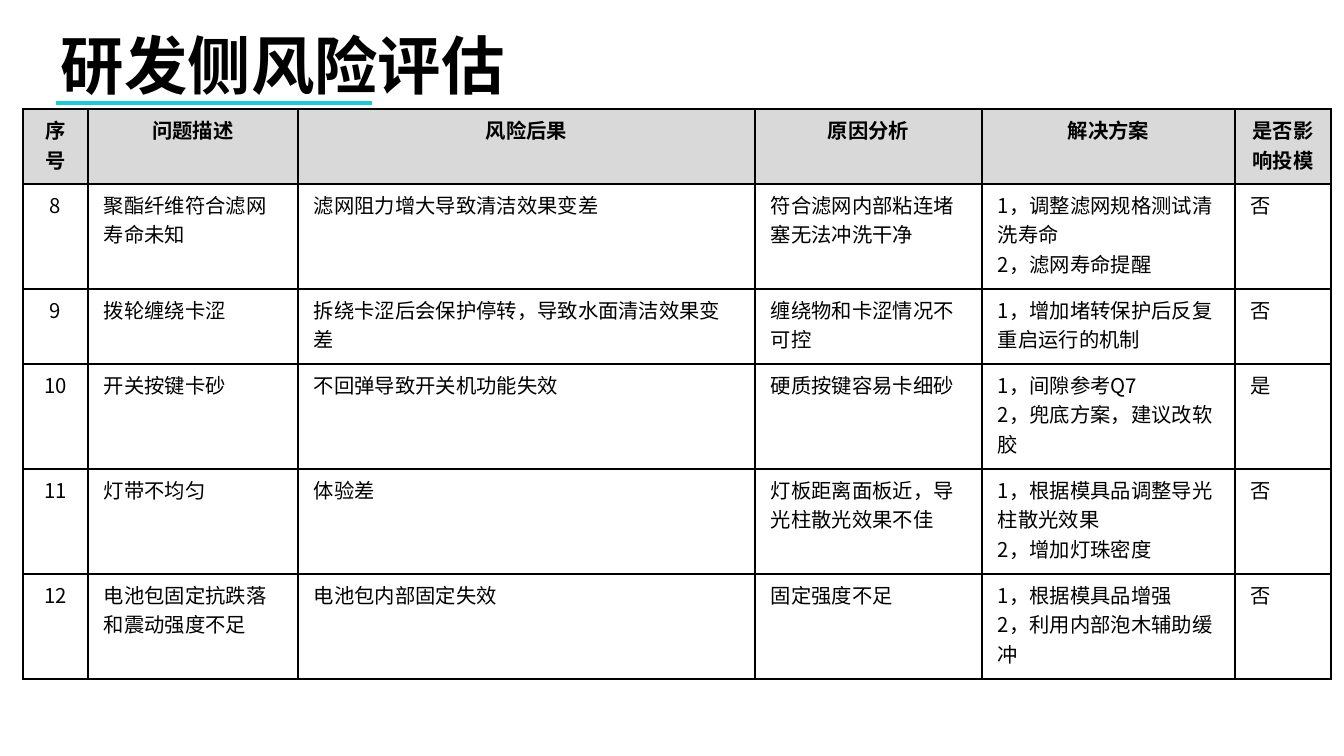
from dataclasses import dataclass

from lxml.etree import SubElement
from pptx import Presentation
from pptx.dml.color import RGBColor
from pptx.enum.lang import MSO_LANGUAGE_ID
from pptx.enum.shapes import MSO_SHAPE
from pptx.enum.text import MSO_ANCHOR, PP_ALIGN
from pptx.oxml.ns import qn
from pptx.util import Inches, Pt


@dataclass(frozen=True)
class Theme:
    font: str = "Noto Sans CJK SC"
    ink: str = "000000"
    header: str = "D9D9D9"
    body: str = "FFFFFF"
    accent_start: str = "1ECAD3"
    accent_end: str = "20C8D3"
    title_size: float = 37.4
    table_size: float = 12
    border: float = 0.96


theme = Theme()


def px(length):
    return round(length * Inches(1) / 122)


def add_run(paragraph, text, size, bold):
    run = paragraph.add_run()
    run.text = text
    run.font.name = theme.font
    run.font.size = Pt(size)
    run.font.bold = bold
    run.font.color.rgb = RGBColor.from_string(theme.ink)
    run.font.language_id = MSO_LANGUAGE_ID.SIMPLIFIED_CHINESE
    SubElement(run.font._element, qn("a:ea"), typeface=theme.font)


presentation = Presentation()
presentation.slide_width = px(1344)
presentation.slide_height = px(756)
slide = presentation.slides.add_slide(presentation.slide_layouts[6])

title = slide.shapes.add_textbox(px(45), px(31), px(1103), px(80))
title_frame = title.text_frame
title_frame.word_wrap = True
title_frame.vertical_anchor = MSO_ANCHOR.BOTTOM
title_frame.margin_left = title_frame.margin_right = px(16)
title_frame.margin_top = title_frame.margin_bottom = px(9)
add_run(title_frame.paragraphs[0], "研发侧风险评估", theme.title_size, True)

underline = slide.shapes.add_shape(MSO_SHAPE.RECTANGLE, px(56), px(101), px(316), px(4))
underline.shadow.inherit = False
underline.line.fill.background()
underline.fill.gradient()
underline.fill.gradient_angle = 10
for stop, color in zip(underline.fill.gradient_stops, (theme.accent_start, theme.accent_end)):
    stop.color.rgb = RGBColor.from_string(color)

rows = [
    ["序号", "问题描述", "风险后果", "原因分析", "解决方案", "是否影响投模"],
    ["8", "聚酯纤维符合滤网寿命未知", "滤网阻力增大导致清洁效果变差",
     "符合滤网内部粘连堵塞无法冲洗干净", "1，调整滤网规格测试清洗寿命\n2，滤网寿命提醒", "否"],
    ["9", "拨轮缠绕卡涩", "拆绕卡涩后会保护停转，导致水面清洁效果变差",
     "缠绕物和卡涩情况不可控", "1，增加堵转保护后反复重启运行的机制", "否"],
    ["10", "开关按键卡砂", "不回弹导致开关机功能失效",
     "硬质按键容易卡细砂", "1，间隙参考Q7\n2，兜底方案，建议改软胶", "是"],
    ["11", "灯带不均匀", "体验差",
     "灯板距离面板近，导光柱散光效果不佳", "1，根据模具品调整导光柱散光效果\n2，增加灯珠密度", "否"],
    ["12", "电池包固定抗跌落和震动强度不足", "电池包内部固定失效",
     "固定强度不足", "1，根据模具品增强\n2，利用内部泡木辅助缓冲", "否"],
]
column_widths = [65, 210, 457, 227, 253, 96]
row_heights = [75, 105, 75, 105, 105, 105]

table = slide.shapes.add_table(
    len(rows), len(column_widths), px(23), px(109),
    px(sum(column_widths)), px(sum(row_heights)),
).table
for column, width in zip(table.columns, column_widths):
    column.width = px(width)
for row, height in zip(table.rows, row_heights):
    row.height = px(height)

for row_index, row in enumerate(rows):
    is_header = row_index == 0
    for column_index, text in enumerate(row):
        cell = table.cell(row_index, column_index)
        cell.margin_left = cell.margin_right = px(16)
        cell.margin_top = cell.margin_bottom = px(6)
        cell_properties = cell._tc.get_or_add_tcPr()
        for side in ("a:lnL", "a:lnR", "a:lnT", "a:lnB"):
            border = SubElement(cell_properties, qn(side), w=str(Pt(theme.border)))
            border_fill = SubElement(border, qn("a:solidFill"))
            SubElement(border_fill, qn("a:srgbClr"), val=theme.ink)
        cell.fill.solid()
        cell.fill.fore_color.rgb = RGBColor.from_string(theme.header if is_header else theme.body)
        for line_index, line in enumerate(text.split("\n")):
            frame = cell.text_frame
            paragraph = frame.add_paragraph() if line_index else frame.paragraphs[0]
            centered = is_header or column_index == 0
            paragraph.alignment = PP_ALIGN.CENTER if centered else PP_ALIGN.LEFT
            add_run(paragraph, line, theme.table_size, is_header)

presentation.save("out.pptx")
